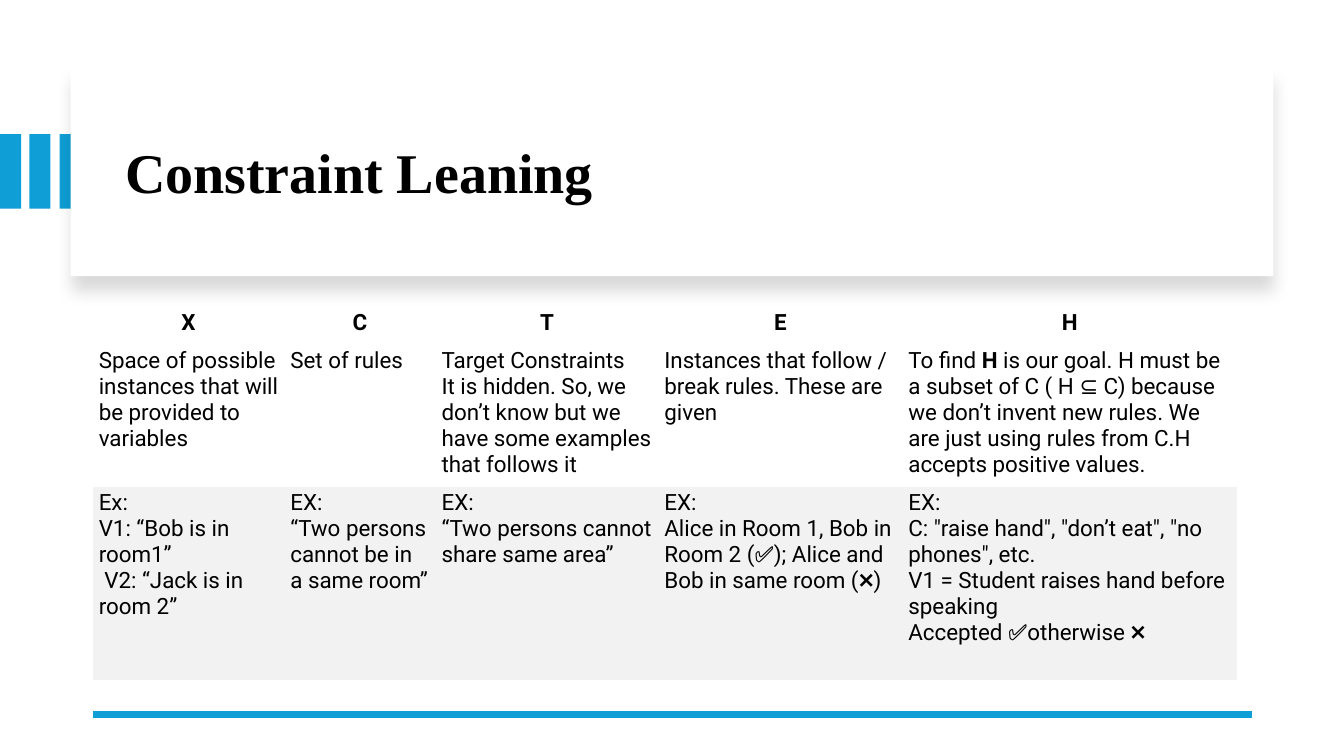
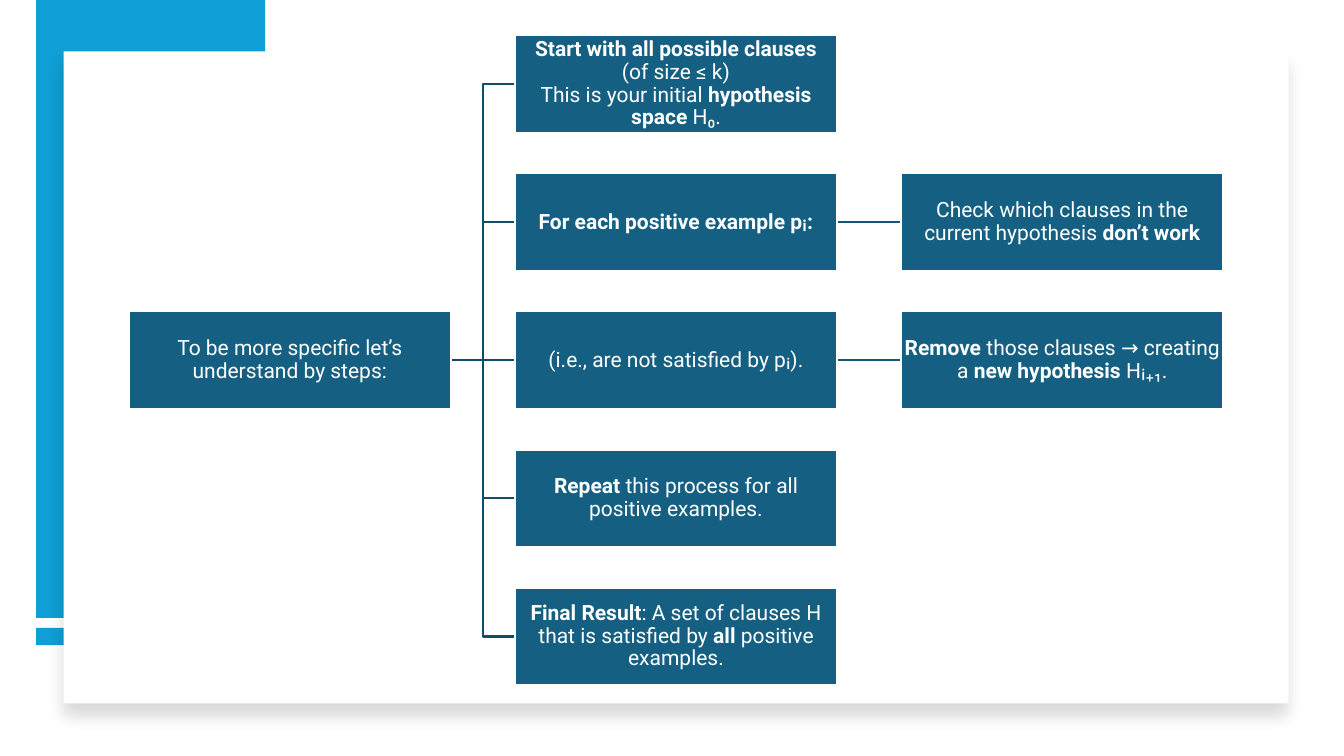
from lxml import etree
from pptx import Presentation
from pptx.dml.color import RGBColor
from pptx.enum.shapes import MSO_CONNECTOR as CONN, MSO_SHAPE as SHAPE
from pptx.enum.text import MSO_ANCHOR as ANCHOR, PP_ALIGN as ALIGN
from pptx.oxml.ns import qn
from pptx.util import Inches, Pt

# Shared style
rgb = RGBColor.from_string
ACCENT, BOX, TREE_LINE, LEAF_LINE = "0F9ED5", "156082", "114D68", "135776"
WHITE, BLACK, GREY = "FFFFFF", "000000", "F2F2F2"
TITLE_FONT = {"name": "Times New Roman", "size": Pt(40), "bold": True}
TABLE_FONT = {"name": "Roboto", "size": Pt(16)}
BOX_FONT = {"name": "Roboto", "size": Pt(15)}
CARD_SHADOW = {"blurRad": Pt(11), "dist": Pt(10), "dir": 90 * 60000,
               "algn": "t", "rotWithShape": 0}


def add_rect(s, box, fill, outline=None, shadow=False):
    sp = s.shapes.add_shape(SHAPE.RECTANGLE, *[Inches(v) for v in box])
    sp.fill.solid()
    sp.fill.fore_color.rgb = rgb(fill)
    if outline:
        sp.line.color.rgb = rgb(outline)
        sp.line.width = Pt(1.5)
    else:
        sp.line.fill.background()
    sp.shadow.inherit = False
    if shadow:
        effects = sp.element.spPr.find(qn("a:effectLst"))
        outer = etree.SubElement(effects, qn("a:outerShdw"),
                                 {k: str(v) for k, v in CARD_SHADOW.items()})
        color = etree.SubElement(outer, qn("a:srgbClr"), val=BLACK)
        etree.SubElement(color, qn("a:alpha"), val="15000")
    return sp


def write_text(tf, text, font, color, align, spacing=1.0):
    """Paragraphs split at \\n, line breaks at \\v, bold between ** marks."""
    for n, line in enumerate(text.split("\n")):
        p = tf.add_paragraph() if n else tf.paragraphs[0]
        p.alignment, p.line_spacing = align, spacing
        for i, part in enumerate(line.split("**")):
            for j, piece in enumerate(part.split("\v")):
                if j:
                    p.add_line_break()
                if not piece:
                    continue
                r = p.add_run()
                r.text = piece
                for key, value in {"bold": i % 2 == 1, **font}.items():
                    setattr(r.font, key, value)
                r.font.color.rgb = rgb(color)


prs = Presentation()
prs.slide_width, prs.slide_height = Inches(13.33), Inches(7.5)

# Slide 1: bars, title card and rule
s = prs.slides.add_slide(prs.slide_layouts[5])
for left in (0, 0.29, 0.59):
    add_rect(s, (left, 1.33, 0.21, 0.74), ACCENT)
card = add_rect(s, (0.7, 0.67, 11.93, 2.07), WHITE, shadow=True)

title = s.shapes.title
title.left, title.top = Inches(1.14), Inches(0.89)
title.width, title.height = Inches(11.13), Inches(1.7)
title.text_frame.vertical_anchor = ANCHOR.MIDDLE
write_text(title.text_frame, "Constraint Leaning", TITLE_FONT, BLACK, ALIGN.LEFT, 0.9)
card.element.addnext(title.element)

rule = s.shapes.add_connector(CONN.STRAIGHT, Inches(12.42), Inches(7.09),
                              Inches(0.92), Inches(7.09))
rule.line.color.rgb = rgb(ACCENT)
rule.line.width = Pt(4.5)
etree.SubElement(rule.element.spPr, qn("a:effectLst"))

# Table of terms, definitions and examples
widths = [1.9, 1.5, 2.21, 2.42, 3.32]
heights = [0.44, 1.41, 1.92]
rows = [
    ["**X**", "**C**", "**T**", "**E**", "**H**"],
    ["Space of possible instances that will be provided to variables",
     "Set of rules",
     "Target Constraints\nIt is hidden. So, we don’t know but we have some examples "
     "that follows it",
     "Instances that follow / break rules. These are given",
     "To find **H **is our goal. H must be a subset of C ( H ⊆ C) because we don’t "
     "invent new rules. We are just using rules from C.H accepts positive values."],
    ["Ex:\nV1: “Bob is in room1”\n V2: “Jack is in room 2”",
     "EX:\n“Two persons cannot be in a same room”",
     "EX:\n“Two persons cannot share same area”",
     "EX:\nAlice in Room 1, Bob in Room 2 (✅); Alice and Bob in same room (❌)",
     'EX:\nC: "raise hand", "don’t eat", "no phones", etc.\n'
     "V1 = Student raises hand before speaking\nAccepted ✅otherwise ❌"],
]
frame = s.shapes.add_table(len(rows), len(widths), Inches(0.92), Inches(2.98),
                           Inches(sum(widths)), Inches(sum(heights)))
table = frame.table
table.first_row = table.horz_banding = False
# Built-in style without grid or fill
frame.element.find(".//" + qn("a:tableStyleId")).text = \
    "{2D5ABB26-0587-4C30-8999-92F81FD0307C}"
for column, width in zip(table.columns, widths):
    column.width = Inches(width)
for i, (texts, height) in enumerate(zip(rows, heights)):
    table.rows[i].height = Inches(height)
    for j, text in enumerate(texts):
        cell = table.cell(i, j)
        cell.margin_left = cell.margin_right = Inches(0.06)
        cell.margin_top = Inches(0.03 if i else 0.09)
        cell.margin_bottom = Inches(0.09)
        cell.vertical_anchor = ANCHOR.TOP if i else ANCHOR.BOTTOM
        if i == 2:
            cell.fill.solid()
            cell.fill.fore_color.rgb = rgb(GREY)
        else:
            cell.fill.background()
        write_text(cell.text_frame, text, TABLE_FONT, BLACK,
                   ALIGN.LEFT if i else ALIGN.CENTER)
# Letter spacing of the header row
for props in frame.element.find(".//" + qn("a:tr")).iter(qn("a:rPr")):
    props.set("spc", "60")

# Slide 2: accent blocks and card
s = prs.slides.add_slide(prs.slide_layouts[6])
add_rect(s, (0.36, 6.23, 2.27, 0.17), ACCENT)
add_rect(s, (0.36, 0, 2.27, 6.13), ACCENT)
card = add_rect(s, (0.63, 0.51, 12.15, 6.47), WHITE, shadow=True)

# Step boxes, keyed by column and row
steps = {
    (0, 2): "To be more specific let’s understand by steps:",
    (1, 0): "**Start with all possible clauses**\v(of size ≤ k)\v"
            "This is your initial **hypothesis space** H₀.",
    (1, 1): "**For each positive example pᵢ:**",
    (2, 1): "Check which clauses in the current hypothesis **don’t work**",
    (1, 2): "(i.e., are not satisfied by pᵢ).",
    (2, 2): "**Remove** those clauses → creating a **new hypothesis** Hᵢ₊₁.",
    (1, 3): "**Repeat** this process for all positive examples.",
    (1, 4): "**Final Result**: A set of clauses H that is satisfied by **all** "
            "positive examples.",
}
boxes = {}
for (col, row), text in steps.items():
    sp = add_rect(s, (1.28 + 3.83 * col, 0.35 + 1.37 * row, 3.19, 0.97), BOX, WHITE)
    tf = sp.text_frame
    tf.word_wrap = True
    tf.vertical_anchor = ANCHOR.MIDDLE
    for side in ("left", "right", "top", "bottom"):
        setattr(tf, "margin_" + side, Inches(0.01))
    write_text(tf, text, BOX_FONT, WHITE, ALIGN.CENTER, 0.9)
    boxes[col, row] = sp

# Tree connectors, placed behind the boxes
links = [((0, 2), (1, row)) for row in range(5)]
links += [((1, row), (2, row)) for row in (1, 2)]
for parent, child in links:
    kind = CONN.STRAIGHT if parent[1] == child[1] else CONN.ELBOW
    link = s.shapes.add_connector(kind, 0, 0, 0, 0)
    link.begin_connect(boxes[parent], 3)
    link.end_connect(boxes[child], 1)
    link.line.color.rgb = rgb(LEAF_LINE if parent[0] else TREE_LINE)
    link.line.width = Pt(1.5)
    etree.SubElement(link.element.spPr, qn("a:effectLst"))
    card.element.addnext(link.element)

prs.save("out.pptx")
